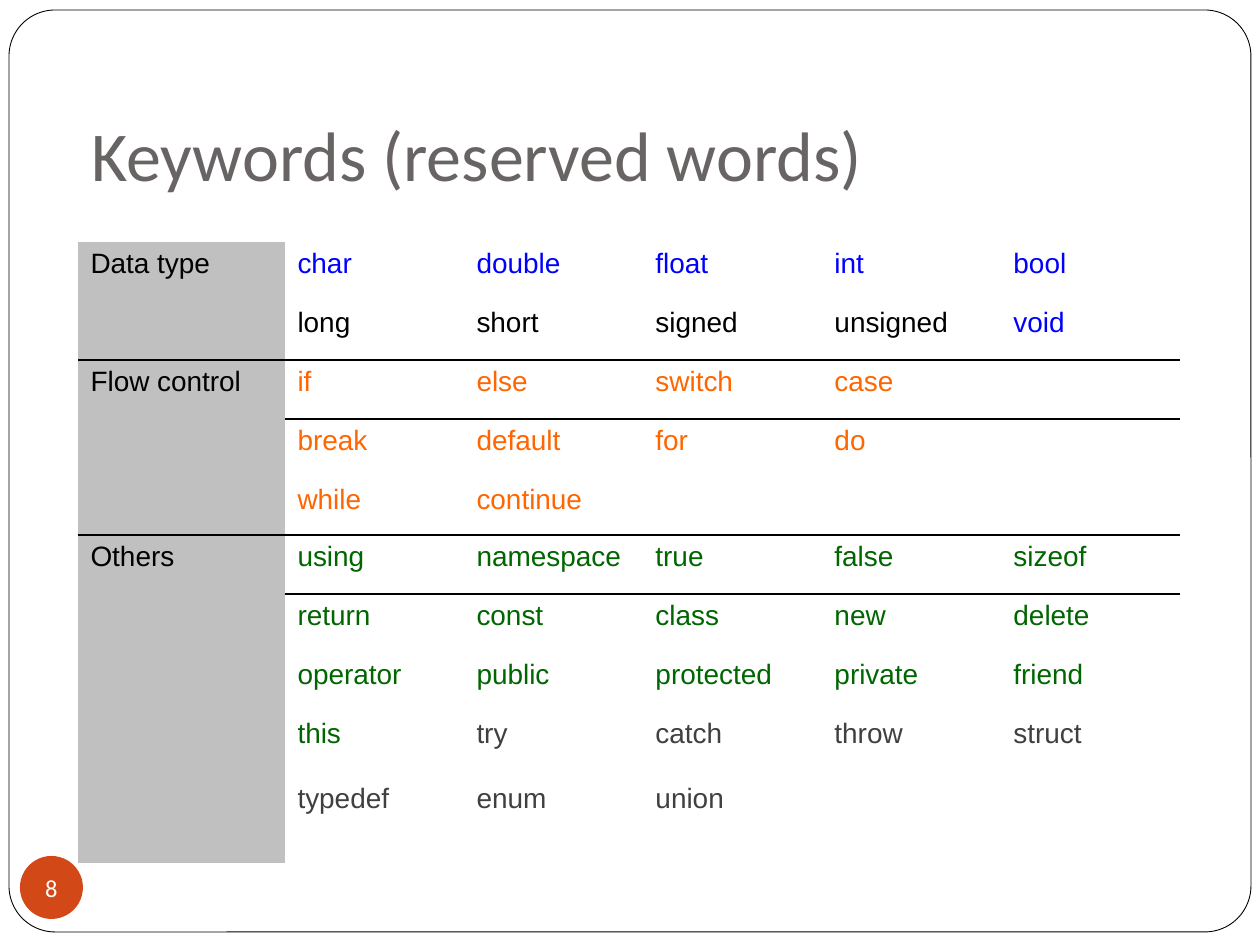
from lxml import etree
from pptx import Presentation
from pptx.dml.color import RGBColor
from pptx.enum.shapes import MSO_SHAPE
from pptx.enum.text import MSO_ANCHOR, MSO_AUTO_SIZE, PP_ALIGN
from pptx.oxml.ns import qn
from pptx.util import Pt

PX = 914400 // 126
COLORS = {
    "white": "FFFFFF", "black": "000000", "title": "696464", "label": "C0C0C0",
    "badge": "D34817", "basic": "0000FF", "flow": "FF6600", "other": "006600",
    "extra": "404040",
}
NO_STYLE = "{2D5ABB26-0587-4C30-8999-92F81FD0307C}"
COLUMNS = [207] + [179] * 5
ROWS = [59, 59, 59, 59, 57, 59, 59, 59, 65, 86]
SECTIONS = [
    ("Data type", "basic", ["char double float int bool",
                            "long short signed unsigned void"]),
    ("Flow control", "flow", ["if else switch case", "break default for do",
                              "while continue"]),
    ("Others", "other", ["using namespace true false sizeof",
                         "return const class new delete",
                         "operator public protected private friend",
                         "this try catch throw struct",
                         "typedef enum union"]),
]
EXCEPTIONS = {
    **dict.fromkeys("long short signed unsigned".split(), "black"),
    **dict.fromkeys("try catch throw struct typedef enum union".split(), "extra"),
}


def color(name):
    return RGBColor.from_string(COLORS[name])


def scaled(box):
    return [length * PX for length in box]


def format_text(paragraph, size, font, name):
    for run in paragraph.runs:
        run.font.size = Pt(size)
        run.font.name = font
        run.font.color.rgb = color(name)


def add_panel(slide, box, kind, fill):
    shape = slide.shapes.add_shape(kind, *scaled(box))
    shape.shadow.inherit = False
    shape.fill.solid()
    shape.fill.fore_color.rgb = color(fill)
    shape.line.fill.background()
    return shape


def add_frame(slide, box):
    frame = add_panel(slide, box, MSO_SHAPE.ROUNDED_RECTANGLE, "white")
    frame.adjustments[0] = 0.05
    frame.line.color.rgb = color("black")
    frame.line.width = Pt(0.5)
    # Keep the frame behind the title placeholder
    slide.shapes.title.element.addprevious(frame.element)


def set_title(slide, box, text):
    title = slide.shapes.title
    title.left, title.top, title.width, title.height = scaled(box)
    text_frame = title.text_frame
    text_frame.text = text
    text_frame.word_wrap = True
    text_frame.auto_size = MSO_AUTO_SIZE.NONE
    text_frame.vertical_anchor = MSO_ANCHOR.BOTTOM
    text_frame.margin_bottom = 13 * PX
    paragraph = text_frame.paragraphs[0]
    paragraph.alignment = PP_ALIGN.LEFT
    format_text(paragraph, 40, "Calibri", "title")


def write_cell(cell, text, name):
    cell.text = text
    format_text(cell.text_frame.paragraphs[0], 16, "Arial", name)


def add_border(cell, tag):
    """Put a black rule on one side of a cell: a:lnT or a:lnB."""
    line = etree.Element(qn(tag), w=str(Pt(1.5)))
    fill = etree.SubElement(line, qn("a:solidFill"))
    etree.SubElement(fill, qn("a:srgbClr"), val=COLORS["black"])
    cell._tc.get_or_add_tcPr().insert(0, line)


def fill_section(table, first, section):
    """Write one keyword group from row first on; return the row after it."""
    label, section_color, lines = section
    last = first + len(lines) - 1
    label_cell = table.cell(first, 0)
    label_cell.merge(table.cell(last, 0))
    write_cell(label_cell, label, "black")
    label_cell.fill.solid()
    label_cell.fill.fore_color.rgb = color("label")
    for row, line in enumerate(lines, first):
        for column, word in enumerate(line.split(), 1):
            write_cell(table.cell(row, column), word,
                       EXCEPTIONS.get(word, section_color))
    for column in range(len(COLUMNS)):
        if last < len(ROWS) - 1:
            add_border(table.cell(last if column else first, column), "a:lnB")
        if first > 0:
            add_border(table.cell(first, column), "a:lnT")
    return last + 1


def add_keyword_table(slide, left, top):
    box = (left, top, sum(COLUMNS), sum(ROWS))
    table = slide.shapes.add_table(len(ROWS), len(COLUMNS), *scaled(box)).table
    table.first_row = table.horz_banding = False
    table._tbl.tblPr.find(qn("a:tableStyleId")).text = NO_STYLE
    for column, width in zip(table.columns, COLUMNS):
        column.width = width * PX
    for row, height in zip(table.rows, ROWS):
        row.height = height * PX
    first = 0
    for section in SECTIONS:
        first = fill_section(table, first, section)


def add_page_badge(slide, box, number):
    badge = add_panel(slide, box, MSO_SHAPE.OVAL, "badge")
    text_frame = badge.text_frame
    text_frame.text = number
    text_frame.word_wrap = False
    text_frame.vertical_anchor = MSO_ANCHOR.MIDDLE
    text_frame.margin_left = text_frame.margin_right = 0
    text_frame.margin_top = text_frame.margin_bottom = 0
    paragraph = text_frame.paragraphs[0]
    paragraph.alignment = PP_ALIGN.CENTER
    format_text(paragraph, 14, "Calibri", "white")


def main():
    presentation = Presentation()
    presentation.slide_width, presentation.slide_height = scaled((1260, 945))
    slide = presentation.slides.add_slide(presentation.slide_layouts[5])
    add_frame(slide, (9, 10, 1242, 922))
    set_title(slide, (79, 42, 1102, 167), "Keywords (reserved words)")
    add_keyword_table(slide, 78, 242)
    add_page_badge(slide, (20, 856, 63, 63), "8")
    presentation.save("out.pptx")


if __name__ == "__main__":
    main()
